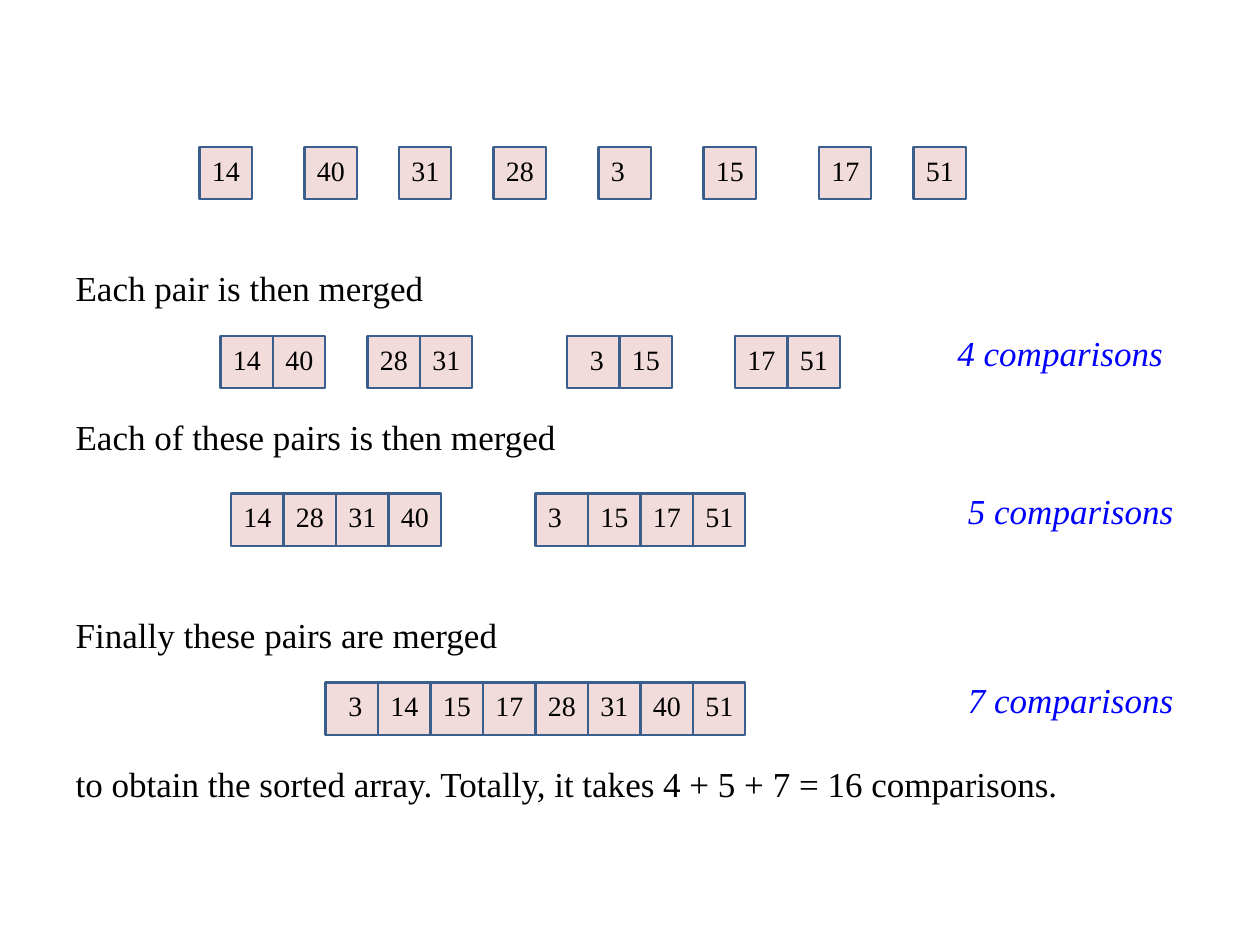
from lxml import etree
from pptx import Presentation
from pptx import util as u
from pptx.dml import color as c
from pptx.enum import shapes, text
from pptx.oxml import ns

Pt = u.Pt
CELL = 30


def rgb(value):
    return c.RGBColor.from_string(value)


def write(frame, content, size=20, color="000000", italic=False, new=False, before=0):
    paragraph = frame.add_paragraph() if new else frame.paragraphs[0]
    paragraph.space_before = Pt(before)
    run = paragraph.add_run()
    run.text = content
    run.font.name = "Times New Roman"
    run.font.size = Pt(size)
    run.font.color.rgb = rgb(color)
    run.font.italic = italic
    return paragraph


presentation = Presentation()
presentation.slide_width, presentation.slide_height = Pt(720), Pt(540)
slide = presentation.slides.add_slide(presentation.slide_layouts[1])
title = slide.shapes.title
title.element.getparent().remove(title.element)

body = slide.placeholders[1]
body.left, body.top, body.width, body.height = Pt(36), Pt(60), Pt(648), Pt(422)
body.text_frame.auto_size = text.MSO_AUTO_SIZE.NONE
body.text_frame.margin_top = Pt(92.5)
steps = [
    ("Each pair is then merged", 0),
    ("Each of these pairs is then merged", 61),
    ("Finally these pairs are merged", 89),
    ("to obtain the sorted array. Totally, it takes 4 + 5 + 7 = 16 comparisons.", 61),
]
for index, (sentence, before) in enumerate(steps):
    paragraph = write(body.text_frame, sentence, new=index > 0, before=before)
    properties = paragraph._p.get_or_add_pPr()
    properties.set("marL", str(Pt(27)))
    properties.set("indent", str(Pt(-27)))
    etree.SubElement(properties, ns.qn("a:buNone"))

# Each row: top, runs of adjoining cells as (left, numbers), shift of the "3", label and its left
rows = [
    (84, [(114, [14]), (174, [40]), (228, [31]), (282, [28]),
          (342, [3]), (402, [15]), (468, [17]), (522, [51])], 0, None, 0),
    (192, [(126, [14, 40]), (210, [28, 31]), (324, [3, 15]), (420, [17, 51])],
     6, "4 comparisons", 540),
    (282, [(132, [14, 28, 31, 40]), (306, [3, 15, 17, 51])], 0, "5 comparisons", 546),
    (390, [(186, [3, 14, 15, 17, 28, 31, 40, 51])], 6, "7 comparisons", 546),
]
for top, arrays, shift, label, label_left in rows:
    container = slide.shapes.add_group_shape().shapes if label else slide.shapes
    for left, numbers in arrays:
        for position, number in enumerate(numbers):
            x = left + position * CELL
            cell = container.add_shape(
                shapes.MSO_SHAPE.RECTANGLE, Pt(x), Pt(top), Pt(CELL), Pt(CELL))
            cell.shadow.inherit = False
            cell.fill.solid()
            cell.fill.fore_color.rgb = rgb("F2DCDB")
            cell.line.color.rgb = rgb("3A5F8C")
            cell.line.width = Pt(1.25)
            text_left = x + shift if number == 3 else x
            box = container.add_textbox(Pt(text_left), Pt(top), Pt(36), Pt(26.6))
            box.text_frame.word_wrap = True
            write(box.text_frame, str(number), size=16)
    if label:
        box = slide.shapes.add_textbox(Pt(label_left), Pt(top - 6), Pt(144), Pt(31.5))
        box.text_frame.word_wrap = True
        write(box.text_frame, label, color="0000FF", italic=True)

presentation.save("out.pptx")
